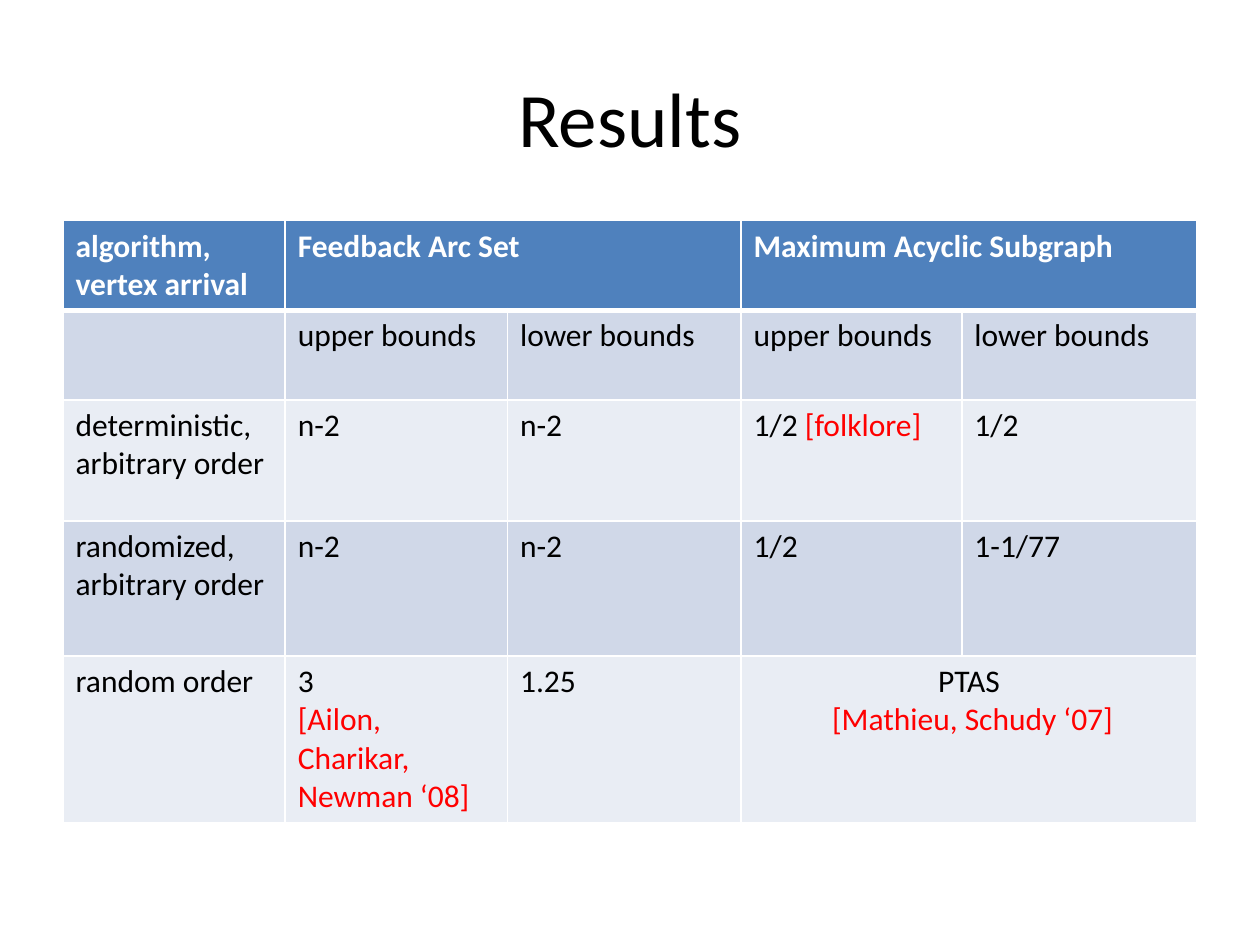
"""Build a slide with a table of upper and lower bounds for two ordering problems."""
from dataclasses import dataclass

from lxml import etree
from pptx import Presentation
from pptx.dml.color import RGBColor
from pptx.enum import text
from pptx.oxml import ns
from pptx.util import Cm, Pt

FONT = "Calibri"
COLOURS = {
    "header": "4F81BD",
    "dark_band": "D0D8E8",
    "light_band": "E9EDF4",
    "white": "FFFFFF",
    "black": "000000",
    "citation": "FF0000",
}
COLUMN_WIDTHS = (4.48, 4.48, 4.71, 4.45, 4.74)
ROW_HEIGHTS = (1.78, 1.81, 2.44, 2.72, 3.33)


@dataclass(frozen=True)
class Span:
    """A stretch of text in one colour."""
    words: str
    colour: str = "black"


@dataclass(frozen=True)
class Entry:
    """A table cell with its paragraphs and the columns it covers."""
    row: int
    column: int
    paragraphs: tuple[tuple[Span, ...], ...]
    columns: int = 1
    centred: bool = False


def plain(row: int, column: int, words: str, columns: int = 1) -> Entry:
    """Return an entry holding one paragraph in the usual colour of its row."""
    colour = "white" if row == 0 else "black"
    return Entry(row, column, ((Span(words, colour),),), columns)


ENTRIES = (
    plain(0, 0, "algorithm, vertex arrival"),
    plain(0, 1, "Feedback Arc Set", 2),
    plain(0, 3, "Maximum Acyclic Subgraph", 2),
    *(plain(1, column, f"{side} bounds")
      for column, side in enumerate(("upper", "lower") * 2, 1)),
    plain(2, 0, "deterministic, arbitrary order"),
    plain(3, 0, "randomized, arbitrary order"),
    *(plain(row, column, "n-2") for row in (2, 3) for column in (1, 2)),
    Entry(2, 3, ((Span("1/2"), Span(" [folklore]", "citation")),)),
    plain(2, 4, "1/2"),
    plain(3, 3, "1/2"),
    plain(3, 4, "1-1/77"),
    plain(4, 0, "random order"),
    Entry(4, 1, ((Span("3"),), (Span("[Ailon, Charikar, Newman ‘08]", "citation"),))),
    plain(4, 2, "1.25"),
    Entry(4, 3, ((Span("PTAS"),),
                 (Span(" "), Span("[Mathieu, Schudy ‘07]", "citation"))), 2, True),
)


def rgb(name: str) -> RGBColor:
    """Return the named colour."""
    return RGBColor.from_string(COLOURS[name])


def write_paragraph(paragraph, spans: tuple[Span, ...], size: int,
                    centred: bool = False, bold: bool = False) -> None:
    """Write coloured spans into a paragraph."""
    paragraph.font.name = FONT
    paragraph.font.size = Pt(size)
    paragraph.font.bold = bold
    paragraph.alignment = text.PP_ALIGN.CENTER if centred else text.PP_ALIGN.LEFT
    for span in spans:
        run = paragraph.add_run()
        run.text = span.words
        run.font.color.rgb = rgb(span.colour)


def style_cell(cell, row: int) -> None:
    """Fill a cell by its row and give it white borders."""
    fill = "header" if row == 0 else ("dark_band" if row % 2 else "light_band")
    properties = cell._tc.get_or_add_tcPr()
    for side in ("L", "R", "T", "B"):
        thick = (row == 0 and side == "B") or (row == 1 and side == "T")
        line = etree.SubElement(properties, ns.qn(f"a:ln{side}"), w=str(Pt(3 if thick else 1)))
        solid = etree.SubElement(line, ns.qn("a:solidFill"))
        etree.SubElement(solid, ns.qn("a:srgbClr"), val=COLOURS["white"])
    cell.fill.solid()
    cell.fill.fore_color.rgb = rgb(fill)


def add_title(slide, words: str) -> None:
    """Add the centred slide title."""
    box = slide.shapes.add_textbox(Cm(1.27), Cm(0.76), Cm(22.86), Cm(3.18))
    frame = box.text_frame
    frame.word_wrap = True
    frame.vertical_anchor = text.MSO_ANCHOR.MIDDLE
    write_paragraph(frame.paragraphs[0], (Span(words),), 44, centred=True)


def add_results(slide, entries: tuple[Entry, ...]) -> None:
    """Add the table of bounds."""
    table = slide.shapes.add_table(
        len(ROW_HEIGHTS), len(COLUMN_WIDTHS), Cm(1.27), Cm(4.45),
        Cm(sum(COLUMN_WIDTHS)), Cm(sum(ROW_HEIGHTS))).table
    for column, width in zip(table.columns, COLUMN_WIDTHS):
        column.width = Cm(width)
    for index, (row, height) in enumerate(zip(table.rows, ROW_HEIGHTS)):
        row.height = Cm(height)
        for cell in row.cells:
            style_cell(cell, index)
    for entry in entries:
        cell = table.cell(entry.row, entry.column)
        if entry.columns > 1:
            cell.merge(table.cell(entry.row, entry.column + entry.columns - 1))
        frame = cell.text_frame
        for index, spans in enumerate(entry.paragraphs):
            paragraph = frame.add_paragraph() if index else frame.paragraphs[0]
            write_paragraph(paragraph, spans, 18, entry.centred, entry.row == 0)


def main() -> None:
    """Build and save the presentation."""
    presentation = Presentation()
    presentation.slide_width = Cm(25.4)
    presentation.slide_height = Cm(19.05)
    slide = presentation.slides.add_slide(presentation.slide_layouts[6])
    add_results(slide, ENTRIES)
    add_title(slide, "Results")
    presentation.save("out.pptx")


if __name__ == "__main__":
    main()
